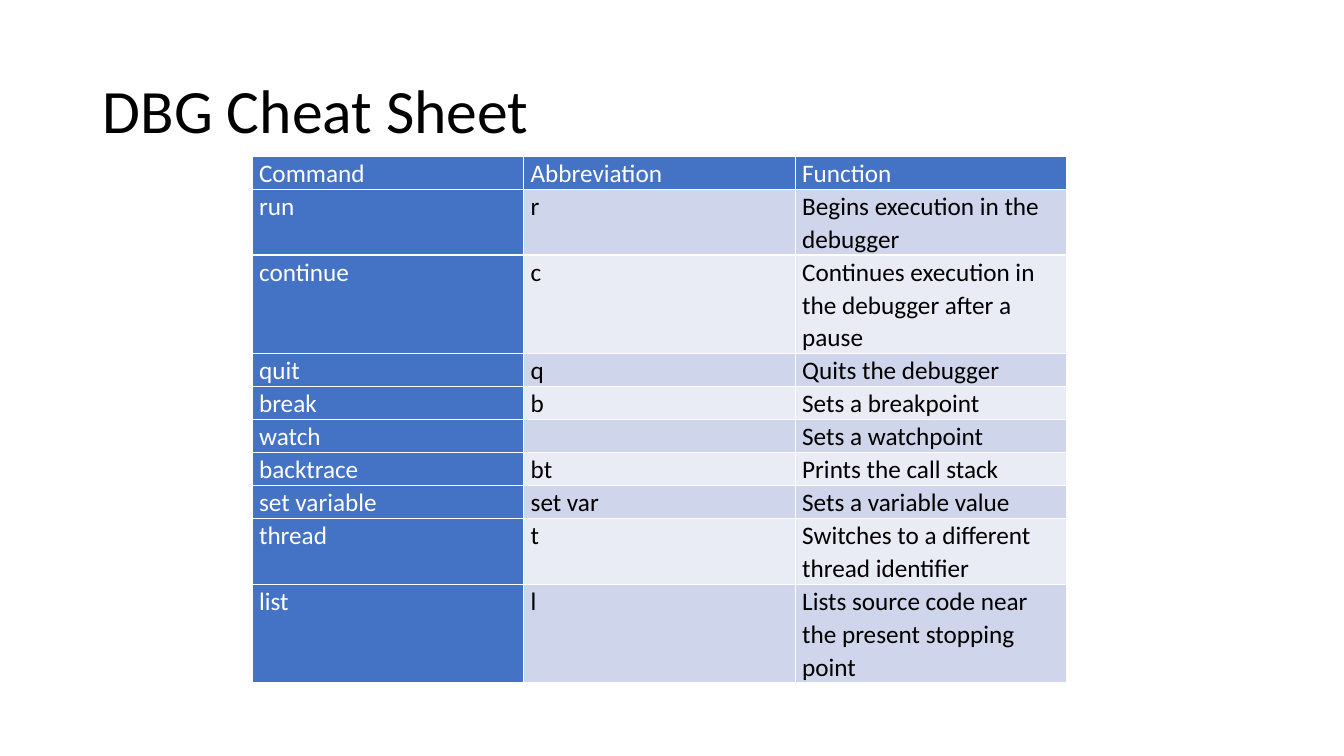
from dataclasses import dataclass

from pptx import Presentation
from pptx import util as u
from pptx.dml import color
from pptx.enum import text
from pptx.oxml import ns
from lxml import etree


@dataclass(frozen=True)
class Theme:
    font: str = "Calibri"
    title: int = 44
    body: int = 18
    edge: int = 1
    dark: str = "000000"
    light: str = "FFFFFF"
    head: str = "4472C4"
    bands: tuple = ("E9EBF5", "CFD5EA")


THEME = Theme()
LINE = 0.32  # height of one text line in the table

# command, abbreviation, function, lines of text
ROWS = [
    ("Command", "Abbreviation", "Function", 1),
    ("run", "r", "Begins execution in the debugger", 2),
    ("continue", "c", "Continues execution in the debugger after a pause", 3),
    ("quit", "q", "Quits the debugger", 1),
    ("break", "b", "Sets a breakpoint", 1),
    ("watch", "", "Sets a watchpoint", 1),
    ("backtrace", "bt", "Prints the call stack", 1),
    ("set variable", "set var", "Sets a variable value", 1),
    ("thread", "t", "Switches to a different thread identifier", 2),
    ("list", "l", "Lists source code near the present stopping point", 3),
]


def rgb(code):
    return color.RGBColor.from_string(code)


def add_run(para, words, size, code):
    run = para.add_run()
    run.text = words
    font = run.font
    font.name, font.size, font.bold = THEME.font, u.Pt(size), False
    font.color.rgb = rgb(code)


def add_title(slide, words):
    title = slide.shapes.title
    title.left, title.top = u.Inches(0.92), u.Inches(0.4)
    title.width, title.height = u.Inches(11.5), u.Inches(1.45)
    frame = title.text_frame
    frame.word_wrap = True
    frame.vertical_anchor = text.MSO_ANCHOR.MIDDLE
    para = frame.paragraphs[0]
    para.alignment = text.PP_ALIGN.LEFT
    para.line_spacing = 0.9
    add_run(para, words, THEME.title, THEME.dark)


def set_edges(cell):
    """Draw the borders; they must come before the fill in the XML."""
    props = cell._tc.get_or_add_tcPr()
    for side in "LRTB":
        line = etree.SubElement(
            props, ns.qn(f"a:ln{side}"), w=str(u.Pt(THEME.edge)))
        fill = etree.SubElement(line, ns.qn("a:solidFill"))
        etree.SubElement(fill, ns.qn("a:srgbClr"), val=THEME.light)


def fill_cell(cell, words, fill, ink):
    cell.margin_left = cell.margin_right = u.Inches(0.07)
    cell.margin_top = cell.margin_bottom = 0
    set_edges(cell)
    cell.fill.solid()
    cell.fill.fore_color.rgb = rgb(fill)
    para = cell.text_frame.paragraphs[0]
    para.line_spacing = 1.07
    para.font.size = u.Pt(THEME.body)
    if words:
        add_run(para, words, THEME.body, ink)


def add_grid(slide, rows):
    total = sum(row[-1] for row in rows)
    frame = slide.shapes.add_table(
        len(rows), 3, u.Inches(2.5), u.Inches(1.55),
        u.Inches(8.08), u.Inches(LINE * total))
    table = frame.table
    table.first_col = True
    for r, (*cells, lines) in enumerate(rows):
        table.rows[r].height = u.Inches(LINE * lines)
        for c, words in enumerate(cells):
            head = r == 0 or c == 0
            fill = THEME.head if head else THEME.bands[r % 2]
            ink = THEME.light if head else THEME.dark
            fill_cell(table.cell(r, c), words, fill, ink)


def main():
    deck = Presentation()
    deck.slide_width, deck.slide_height = u.Inches(13.33), u.Inches(7.5)
    slide = deck.slides.add_slide(deck.slide_layouts[5])
    add_title(slide, "DBG Cheat Sheet")
    add_grid(slide, ROWS)
    deck.save("out.pptx")


if __name__ == "__main__":
    main()
